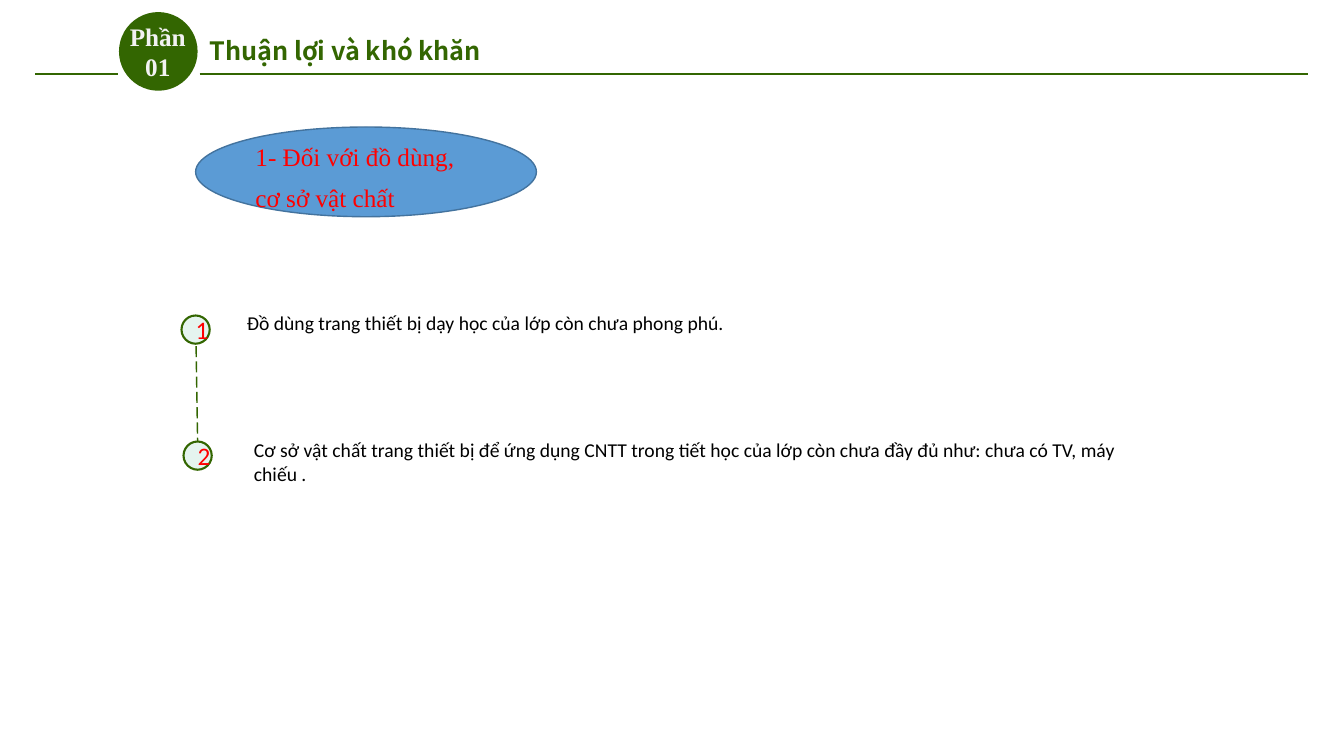
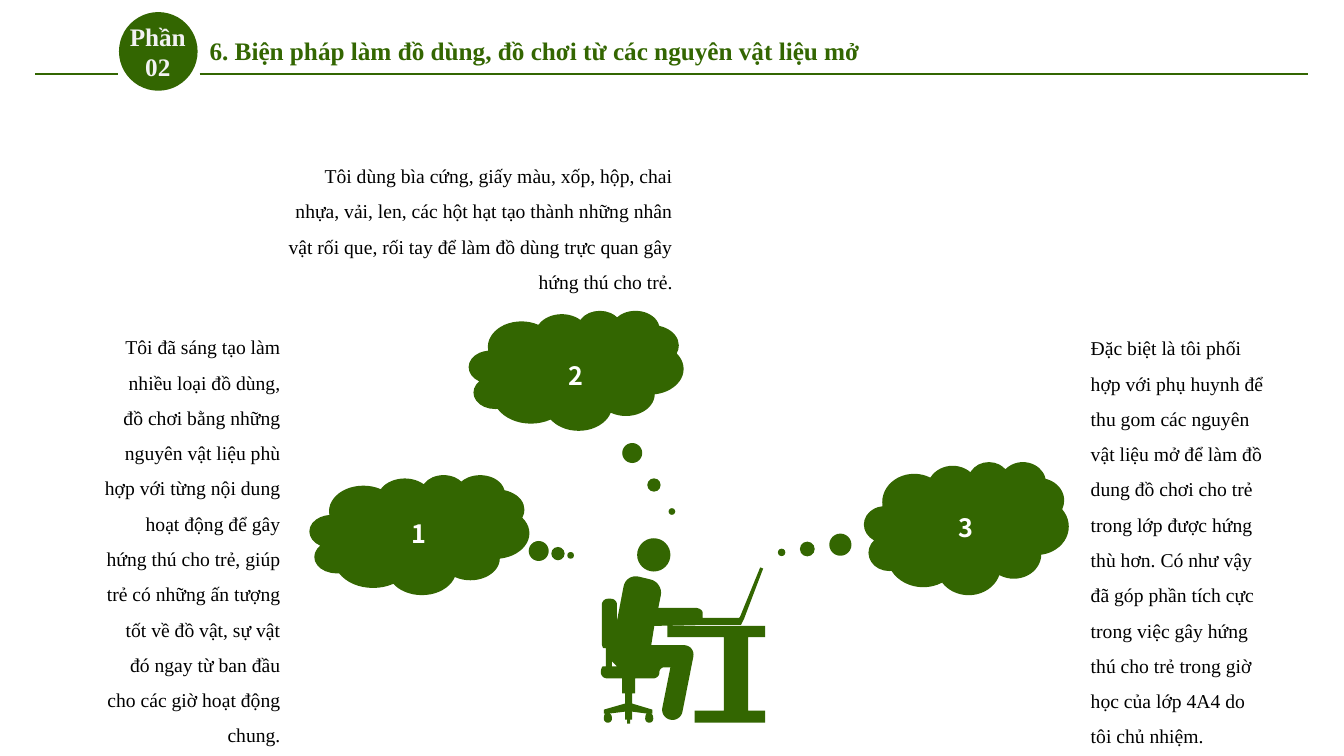
import math

import pptx
import pptx.dml.color
import pptx.enum.dml
import pptx.enum.shapes
import pptx.enum.text
import pptx.util
from lxml import etree

Inches = pptx.util.Inches
Pt = pptx.util.Pt
SHAPE = pptx.enum.shapes.MSO_SHAPE
ALIGN = pptx.enum.text.PP_ALIGN
ANCHOR = pptx.enum.text.MSO_ANCHOR
DASH = pptx.enum.dml.MSO_LINE

GREEN, RED, BLACK, WHITE = "336601", "FF0000", "000000", "FFFFFF"
SERIF, SANS, BODY = "Times New Roman", "Noto Sans CJK SC", "Calibri"


def rgb(value):
    return pptx.dml.color.RGBColor.from_string(value)


def write(tf, text, size=18, font=SERIF, color=BLACK, bold=False,
          align=ALIGN.LEFT, spacing=None, anchor=ANCHOR.TOP):
    tf.word_wrap = True
    tf.vertical_anchor = anchor
    p = tf.paragraphs[0]
    p.alignment = align
    if spacing:
        p.line_spacing = spacing
    r = p.add_run()
    r.text = text
    r.font.size = Pt(size)
    r.font.name = font
    r.font.bold = bold
    r.font.color.rgb = rgb(color)


def round_corners(corners, steps=8):
    """Return the outline of (x, y[, radius]) corners as plain points."""
    points = []
    for i, (x, y, *radius) in enumerate(corners):
        if not radius:
            points.append((x, y))
            continue
        ends = []
        for nx, ny, *_ in (corners[i - 1], corners[(i + 1) % len(corners)]):
            length = math.hypot(nx - x, ny - y)
            part = min(radius[0], length / 2) / length
            ends.append((x + (nx - x) * part, y + (ny - y) * part))
        (ax, ay), (bx, by) = ends
        for k in range(steps + 1):
            t = k / steps
            # cubic curve whose handles reach 55 % of the way to the corner
            wa = (1 - t) ** 3 + 1.35 * (1 - t) ** 2 * t
            wb = t ** 3 + 1.35 * (1 - t) * t ** 2
            wc = 1 - wa - wb
            points.append((ax * wa + bx * wb + x * wc, ay * wa + by * wb + y * wc))
    return points


def square(left, top, size):
    """Corners that round off to a circle."""
    right, bottom, r = left + size, top + size, size / 2
    return [(left, top, r), (left, bottom, r), (right, bottom, r), (right, top, r)]


class Deck:
    """Holds the presentation, its style and the current slide."""

    def __init__(self):
        self.prs = pptx.Presentation()
        self.prs.slide_width = Inches(13.33)
        self.prs.slide_height = Inches(7.5)

    def slide(self, part, title, title_font, title_width):
        """Start a slide with the header rule, part badge and title."""
        self.s = self.prs.slides.add_slide(self.prs.slide_layouts[6])
        self.line(0.35, 0.73, 1.17, 0.73)
        self.line(1.98, 0.73, 12.97, 0.73)
        self.shape(SHAPE.OVAL, 1.18, 0.12, 0.78, 0.78)
        self.text(part, 1.17, 0.16, 0.79, 0.7, color="F2F2F2", bold=True,
                  align=ALIGN.CENTER)
        self.text(title, 1.98, 0.3, title_width, 0.4, font=title_font,
                  color=GREEN, bold=True)

    def line(self, x1, y1, x2, y2, width=1.5, dash=None):
        cx = self.s.shapes.add_connector(
            pptx.enum.shapes.MSO_CONNECTOR.STRAIGHT,
            Inches(x1), Inches(y1), Inches(x2), Inches(y2))
        cx.line.color.rgb = rgb(GREEN)
        cx.line.width = Pt(width)
        if dash:
            cx.line.dash_style = dash
        etree.SubElement(cx._element.spPr, pptx.oxml.ns.qn("a:effectLst"))
        return cx

    def paint(self, sp, fill=GREEN, line=None, width=1.5):
        sp.shadow.inherit = False
        sp.fill.solid()
        sp.fill.fore_color.rgb = rgb(fill)
        if line:
            sp.line.color.rgb = rgb(line)
            sp.line.width = Pt(width)
        else:
            sp.line.fill.background()

    def shape(self, kind, x, y, w, h, **paint):
        sp = self.s.shapes.add_shape(kind, Inches(x), Inches(y), Inches(w), Inches(h))
        self.paint(sp, **paint)
        return sp

    def text(self, text, x, y, w, h, **style):
        sp = self.s.shapes.add_textbox(Inches(x), Inches(y), Inches(w), Inches(h))
        write(sp.text_frame, text, **style)
        sp.text_frame.auto_size = pptx.enum.text.MSO_AUTO_SIZE.SHAPE_TO_FIT_TEXT

    def bullet(self, number, x, y):
        sp = self.shape(SHAPE.OVAL, x, y, 0.28, 0.28, fill="E5F4EF", line=GREEN)
        write(sp.text_frame, number, font=BODY, color=RED,
              align=ALIGN.CENTER, anchor=ANCHOR.MIDDLE)
        return sp

    def cloud(self, number, box, tail, label_box):
        sp = self.shape(SHAPE.CLOUD_CALLOUT, *box)
        sp.adjustments[0], sp.adjustments[1] = tail
        self.text(number, *label_box, font=SANS, color=WHITE, bold=True,
                  align=ALIGN.CENTER)

    def outline(self, contours):
        builder = None
        for corners in contours:
            points = [(Inches(x), Inches(y)) for x, y in round_corners(corners)]
            if builder is None:
                builder = self.s.shapes.build_freeform(*points[0], scale=1.0)
            else:
                builder.move_to(*points[0])
            builder.add_line_segments(points[1:], close=True)
        self.paint(builder.convert_to_shape())


HEAD = square(6.32, 5.34, 0.33)
PERSON_ON_CHAIR = [
    # seat, column and base with two wheels
    (5.96, 6.61, 0.06), (5.96, 6.73, 0.06), (6.17, 6.73), (6.17, 6.88),
    (6.2, 6.88), (6.2, 6.98), (5.99, 7.04), (5.99, 7.08), (6.01, 7.08),
    *square(5.99, 7.09, 0.08), (6.04, 7.08), (6.2, 7.06), (6.2, 7.14),
    (6.22, 7.14), (6.22, 7.18), (6.25, 7.18), (6.25, 7.14), (6.27, 7.14),
    (6.27, 7.06), (6.42, 7.08), *square(6.4, 7.09, 0.08), (6.45, 7.08),
    (6.47, 7.08), (6.47, 7.04), (6.27, 6.98), (6.27, 6.88), (6.3, 6.88),
    (6.3, 6.73), (6.54, 6.73, 0.06), (6.54, 6.62, 0.05),
    # leg
    (6.65, 6.62), (6.55, 7.12, 0.1), (6.75, 7.16, 0.1), (6.9, 6.4, 0.12),
    (6.46, 6.4), (6.49, 6.21),
    # laptop, arm and torso
    (6.93, 6.2), (7.35, 6.2), (7.38, 6.14), (7.57, 5.64), (7.54, 5.63),
    (7.34, 6.12), (7.33, 6.13), (6.97, 6.13), (6.97, 6.03, 0.08),
    (6.53, 6.03), (6.58, 5.78, 0.13), (6.21, 5.69, 0.13), (6.12, 6.16),
    # chair back
    (6.12, 5.94, 0.06), (5.97, 5.94, 0.06), (5.97, 6.43, 0.05),
    (6.01, 6.43), (6.01, 6.61),
]
CHAIR_GAP = [(6.07, 6.56), (6.12, 6.61), (6.07, 6.61)]
DESK = [(7.18, 7.05), (6.89, 7.05), (6.89, 7.17), (7.59, 7.17), (7.59, 7.05),
        (7.42, 7.05), (7.42, 6.32), (7.59, 6.32), (7.59, 6.21), (6.62, 6.21),
        (6.62, 6.32), (7.18, 6.32)]

CLOUDS = [
    ("2", (4.65, 3.08, 2.13, 1.19), (0.446, 1.176), (4.93, 3.53, 1.56, 0.4)),
    ("1", (3.07, 4.71, 2.18, 1.19), (0.688, 0.172), (3.38, 5.09, 1.55, 0.4)),
    ("3", (8.57, 4.58, 2.03, 1.32), (-0.903, 0.182), (8.98, 5.03, 1.21, 0.4)),
]
IDEAS = [
    ("Tôi đã sáng tạo làm nhiều loại đồ dùng, đồ chơi bằng những nguyên vật liệu "
     "phù hợp với từng nội dung hoạt động để gây hứng thú cho trẻ, giúp trẻ có "
     "những ấn tượng tốt về đồ vật, sự vật đó ngay từ ban đầu cho các giờ hoạt "
     "động chung.", (0.94, 3.16, 1.94, 4.34), ALIGN.RIGHT),
    ("Tôi dùng bìa cứng, giấy màu, xốp, hộp, chai nhựa, vải, len, các hột hạt tạo "
     "thành những nhân vật rối que, rối tay để làm đồ dùng trực quan gây hứng thú "
     "cho trẻ.", (2.72, 1.46, 4.05, 1.51), ALIGN.RIGHT),
    ("Đặc biệt là tôi phối hợp với phụ huynh để thu gom các nguyên vật liệu mở để "
     "làm đồ dung đồ chơi cho trẻ trong lớp được hứng thù hơn. Có như vậy đã góp "
     "phần tích cực trong việc gây hứng thú cho trẻ trong giờ học của lớp 4A4 do "
     "tôi chủ nhiệm.", (10.72, 3.17, 1.97, 4.34), ALIGN.LEFT),
]


def difficulties(deck):
    deck.slide("Phần 01", "Thuận lợi và khó khăn", SANS, 3.23)
    topic = deck.shape(SHAPE.OVAL, 1.94, 1.26, 3.38, 0.89,
                       fill="5B9BD5", line="43739E", width=1)
    write(topic.text_frame, "1- Đối với đồ dùng, cơ sở vật chất", color=RED,
          spacing=1.35, anchor=ANCHOR.MIDDLE)
    link = deck.line(1.94, 3.13, 1.96, 4.38, width=1, dash=DASH.LONG_DASH)
    link.begin_connect(deck.bullet("1", 1.8, 3.13), 0)
    link.end_connect(deck.bullet("2", 1.82, 4.38), 0)
    deck.text("Đồ dùng trang thiết bị dạy học của lớp còn chưa phong phú.",
              2.35, 3.04, 9.36, 0.34, size=14, font=BODY)
    deck.text("Cơ sở vật chất trang thiết bị để ứng dụng CNTT trong tiết học của lớp "
              "còn chưa đầy đủ như: chưa có TV, máy chiếu .",
              2.42, 4.3, 9.29, 0.57, size=14, font=BODY)


def measures(deck):
    deck.slide("Phần 02", "6. Biện pháp làm đồ dùng, đồ chơi từ các nguyên vật liệu mở",
               SERIF, 11.18)
    deck.outline([HEAD, PERSON_ON_CHAIR, CHAIR_GAP, DESK])
    for cloud in CLOUDS:
        deck.cloud(*cloud)
    for idea, box, align in IDEAS:
        deck.text(idea, *box, size=14, align=align, spacing=1.5)


def main():
    deck = Deck()
    difficulties(deck)
    measures(deck)
    deck.prs.save("out.pptx")


if __name__ == "__main__":
    main()
